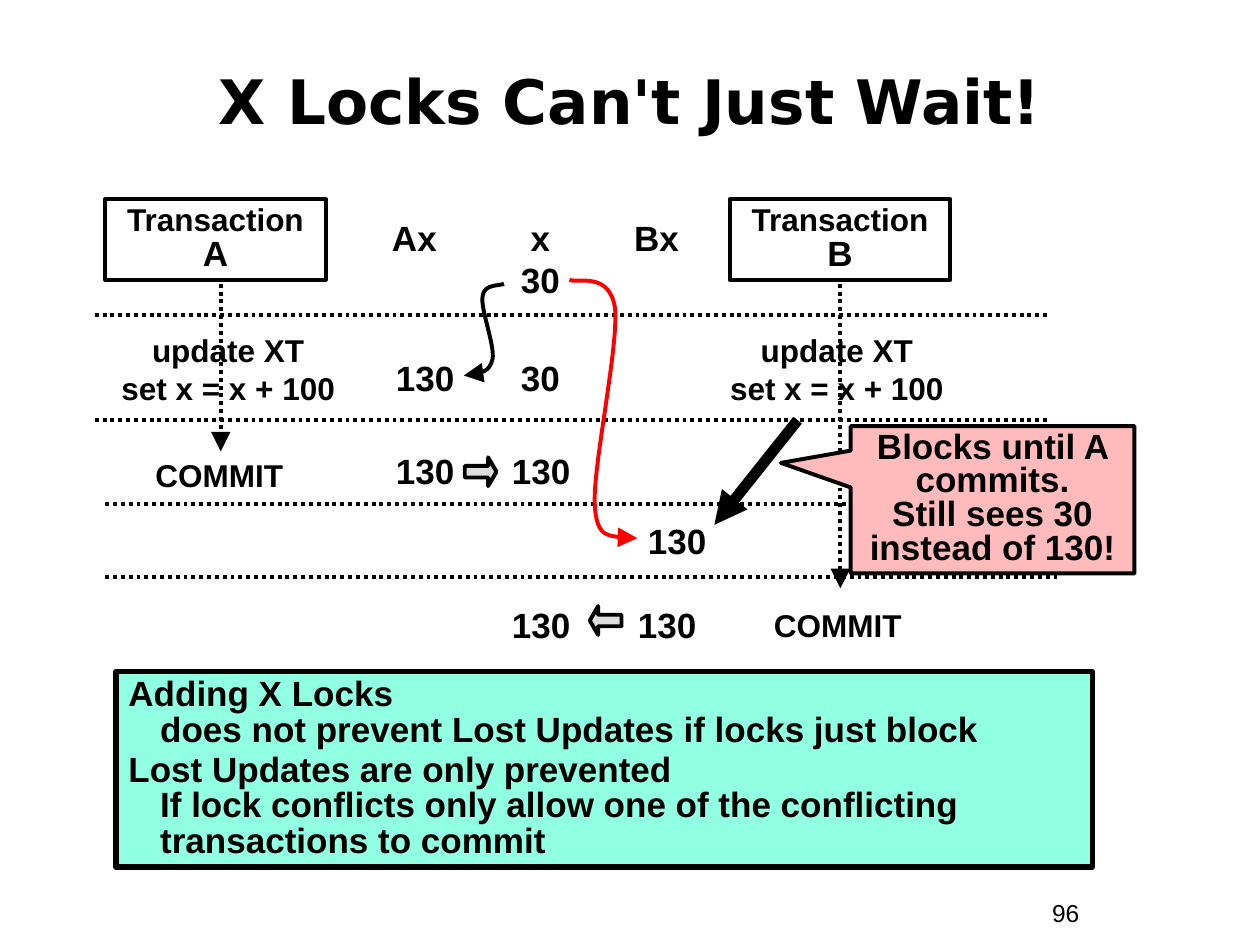
from dataclasses import dataclass

from lxml.etree import SubElement
from pptx import Presentation
from pptx.dml.color import RGBColor as Rgb
from pptx.enum.dml import MSO_LINE as Dash
from pptx.enum.shapes import MSO_CONNECTOR as Link, MSO_SHAPE as Kind
from pptx.enum.text import MSO_ANCHOR as Anchor, MSO_AUTO_SIZE as Fit, PP_ALIGN as Align
from pptx.oxml.ns import qn
from pptx.util import Cm, Pt


@dataclass(frozen=True)
class Theme:
    font: str = "Arial"
    head_font: str = "DejaVu Sans"
    ink: str = "000000"
    red: str = "FF0000"
    gray: str = "DDDDDD"
    mint: str = "91FFE2"
    pink: str = "FFBBBB"
    head: int = 35
    value: int = 20
    label: int = 18
    page: int = 14
    thin: float = 2.25
    frame: float = 3
    thick: float = 6.25


class Board:
    """Draws on one slide in one theme; all lengths are in centimetres."""

    def __init__(self, slide, theme):
        self.slide, self.shapes, self.theme = slide, slide.shapes, theme

    def style(self, frame, size, font=None, bold=True, align=Align.CENTER,
              anchor=Anchor.TOP, space=1.0):
        frame.word_wrap = True
        frame.auto_size = Fit.NONE
        frame.vertical_anchor = anchor
        for para in frame.paragraphs:
            para.alignment, para.line_spacing = align, space
            for run in para.runs:
                run.font.name = font or self.theme.font
                run.font.size, run.font.bold = Pt(size), bold
                run.font.color.rgb = Rgb.from_string(self.theme.ink)

    def title(self, text, box):
        shape = self.shapes.title
        shape.left, shape.top, shape.width, shape.height = map(Cm, box)
        shape.text_frame.text = text
        self.style(shape.text_frame, self.theme.head, self.theme.head_font,
                   anchor=Anchor.MIDDLE)

    def text(self, text, box, size, **look):
        frame = self.shapes.add_textbox(*map(Cm, box)).text_frame
        frame.text = text
        self.style(frame, size, **look)

    def shape(self, kind, box, fill=None, width=None, adjust=()):
        shape = self.shapes.add_shape(kind, *map(Cm, box))
        for i, value in enumerate(adjust):
            shape.adjustments[i] = value
        self.paint(shape, fill, width or self.theme.thin)
        return shape

    def paint(self, shape, fill, width, color=None):
        shape.shadow.inherit = False
        if fill:
            shape.fill.solid()
            shape.fill.fore_color.rgb = Rgb.from_string(fill)
        else:
            shape.fill.background()
        self.stroke(shape, width, color)

    def stroke(self, shape, width, color=None):
        shape.line.color.rgb = Rgb.from_string(color or self.theme.ink)
        shape.line.width = Pt(width)

    def tip(self, shape, size):
        line = shape.element.spPr.find(qn("a:ln"))
        SubElement(line, qn("a:tailEnd"), type="triangle", w=size, len=size)

    def line(self, start, end, width=None, dash=None, tip=None):
        link = self.shapes.add_connector(Link.STRAIGHT, *map(Cm, start + end))
        self.stroke(link, width or self.theme.thin)
        if dash:
            link.line.dash_style = dash
        if tip:
            self.tip(link, tip)
        SubElement(link.element.spPr, qn("a:effectLst"))

    def curve(self, points, color):
        """Draw cubic arcs: a start, then two handles and an end for each arc."""
        first, *rest = [(Cm(x), Cm(y)) for x, y in points]
        pen = self.shapes.build_freeform(*first)
        pen.add_line_segments(rest, close=False)
        shape = pen.convert_to_shape()
        route = next(shape.element.iter(qn("a:path")))
        steps = route.findall(qn("a:lnTo"))
        for i in range(0, len(steps), 3):
            arc = SubElement(route, qn("a:cubicBezTo"))
            for step in steps[i:i + 3]:
                arc.append(step[0])
                route.remove(step)
        self.paint(shape, None, self.theme.thin, color)
        self.tip(shape, "lg")

    def actor(self, name, left):
        frame = self.shape(Kind.RECTANGLE, (left, 4.02, 4.45, 1.62)).text_frame
        frame.text = "Transaction "
        mark = frame.paragraphs[0].add_run()
        mark.text = name
        self.style(frame, self.theme.label, space=0.85)
        mark.font.size = Pt(self.theme.value)

    def summary(self, text, box):
        frame = self.shape(Kind.RECTANGLE, box, self.theme.mint, self.theme.frame).text_frame
        frame.text = text
        for para in frame.paragraphs:
            props = para._p.get_or_add_pPr()
            props.set("marL", str(Cm(0.64)))
            props.set("indent", str(Cm(-0.64)))
        for para in frame.paragraphs[1:]:
            para.space_before = Pt(2.5)
        self.style(frame, self.theme.value, align=Align.LEFT, space=0.85)

    def callout(self, text, box):
        shape = self.shape(Kind.RECTANGULAR_CALLOUT, box, self.theme.pink,
                           adjust=(-0.746, -0.25))
        shape.text_frame.text = text
        self.style(shape.text_frame, self.theme.value, anchor=Anchor.MIDDLE, space=0.8)


VALUES = [
    ("Ax", 7.62, 4.24), ("x", 10.16, 4.24), ("Bx", 12.5, 4.24),
    ("30", 10.16, 5.08),
    ("130", 7.62, 7.06), ("30", 10.16, 7.06),
    ("130", 7.62, 8.94), ("130", 9.96, 8.94),
    ("130", 12.7, 10.34),
    ("130", 9.96, 12.04), ("130", 12.5, 12.04),
]
READ_A = [
    (10.16, 5.72), (10.08, 5.77), (9.75, 5.72), (9.73, 5.97),
    (9.68, 6.22), (9.98, 6.96), (9.93, 7.24),
    (9.86, 7.52), (9.4, 7.57), (9.32, 7.62),
    (9.22, 7.67), (9.35, 7.57), (9.35, 7.57),
]
READ_B = [
    (11.48, 5.64), (11.63, 5.72), (12.29, 5.46), (12.4, 6.22),
    (12.47, 6.99), (11.96, 9.37), (11.99, 10.13),
    (12.01, 10.92), (12.4, 10.74), (12.55, 10.87),
    (12.67, 10.97), (12.78, 10.85), (12.85, 10.85),
]


def main():
    deck = Presentation()
    deck.slide_width, deck.slide_height = Cm(25.4), Cm(19.05)
    theme = Theme()
    board = Board(deck.slides.add_slide(deck.slide_layouts[5]), theme)

    board.title("X Locks Can't Just Wait!", (0.85, 0.85, 23.7, 2.33))
    board.text("96", (20.96, 17.98, 2.34, 0.86), theme.page, bold=False, align=Align.LEFT)

    for name, left, axis, end in (("A", 2.12, 4.45, 9.1), ("B", 14.71, 16.94, 11.86)):
        board.actor(name, left)
        board.line((axis, 5.72), (axis, end), dash=Dash.ROUND_DOT, tip="lg")
    for left, right, top in ((1.91, 21.17, 6.35), (1.91, 21.17, 8.47),
                             (2.12, 21.17, 10.16), (2.12, 21.38, 11.64)):
        board.line((left, top), (right, top), dash=Dash.ROUND_DOT)

    for left in (2.16, 14.43):
        board.text("update XT\vset x = x + 100", (left, 6.55, 4.88, 1.78), theme.label)
    for left, top in ((1.98, 9.07), (14.45, 12.09)):
        board.text("COMMIT", (left, top, 4.88, 1.02), theme.label)
    for text, left, top in VALUES:
        width = 1.9 if len(text) > 2 else 1.47
        board.text(text, (left, top, width, 1.09), theme.value)

    for kind, left, top in ((Kind.RIGHT_ARROW, 9.37, 9.22), (Kind.LEFT_ARROW, 11.89, 12.22)):
        board.shape(kind, (left, top, 0.64, 0.58), theme.gray, adjust=(0.4, 0.29))
    board.curve(READ_A, theme.ink)
    board.summary(
        "Adding X Locks\vdoes not prevent Lost Updates if locks just block\n"
        "Lost Updates are only prevented\v"
        "If lock conflicts only allow one of the conflicting transactions to commit",
        (2.34, 13.54, 19.68, 3.94))
    board.curve(READ_B, theme.red)
    board.line((16.08, 8.47), (14.4, 10.58), theme.thick, tip="med")
    board.callout("Blocks until A commits.\vStill sees 30\vinstead of 130!",
                  (17.15, 8.59, 5.72, 2.97))
    deck.save("out.pptx")


if __name__ == "__main__":
    main()
